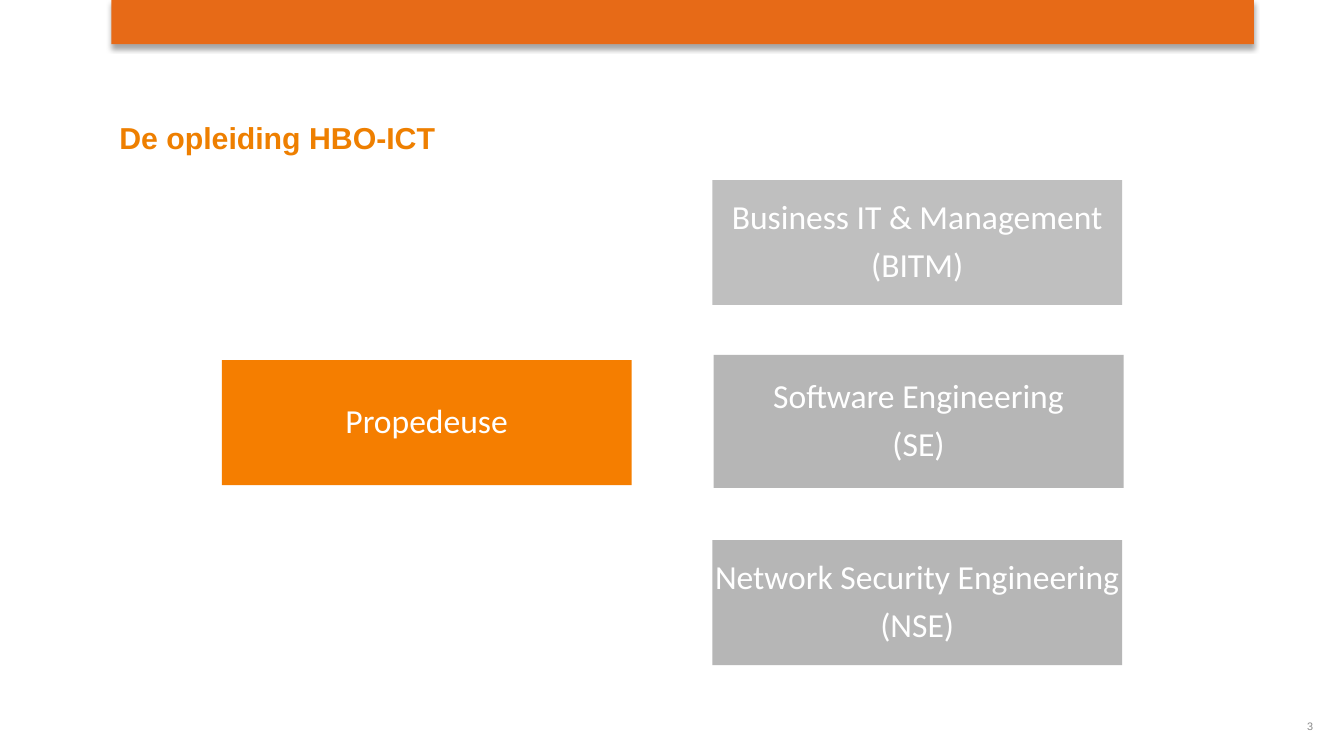
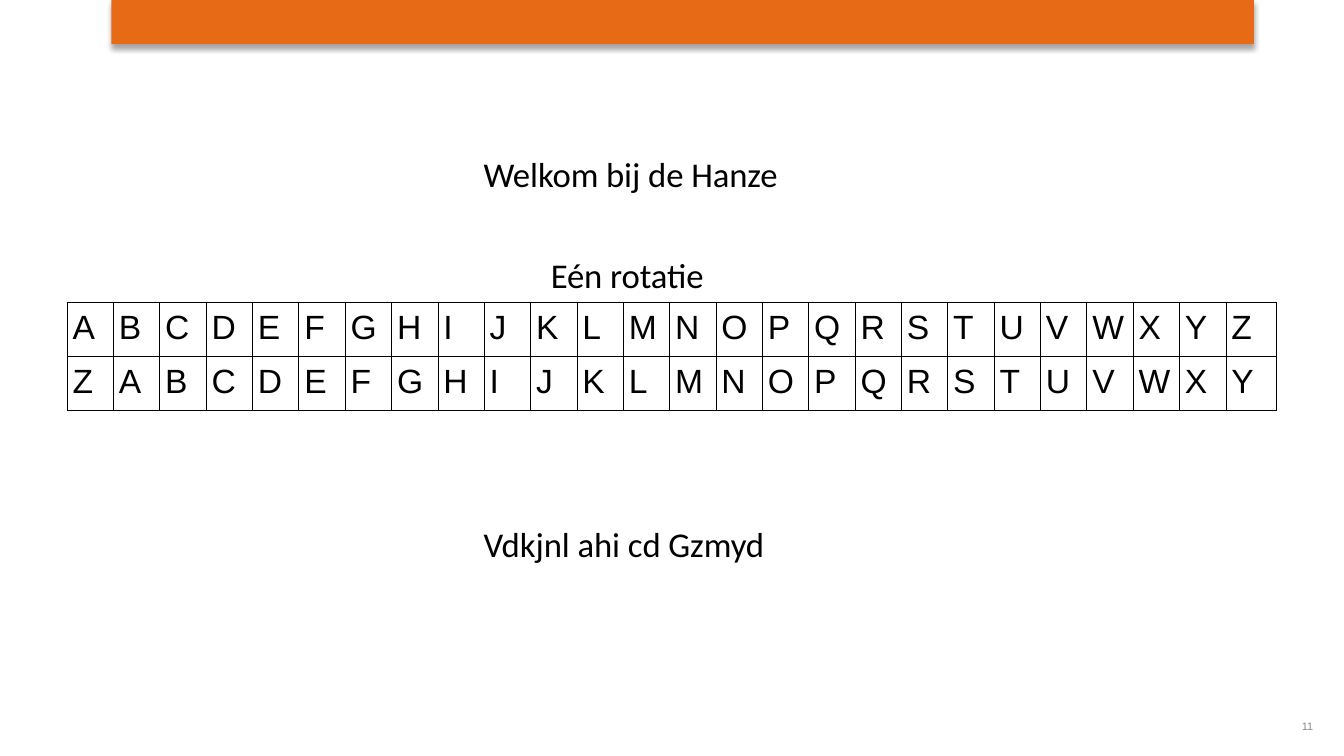
from lxml import etree
from pptx import Presentation
from pptx.dml.color import RGBColor
from pptx.enum import shapes, text
from pptx.oxml import ns
from pptx.util import Pt

PX = 914400 // 200
SLIDE_WIDTH, SLIDE_HEIGHT = 2000, 1125

BAND = RGBColor(0xE7, 0x6A, 0x17)
TITLE = RGBColor(0xEE, 0x7F, 0x00)
ORANGE = RGBColor(0xF5, 0x7E, 0x00)
LIGHT_GREY = RGBColor(0xBF, 0xBF, 0xBF)
GREY = RGBColor(0xB6, 0xB6, 0xB6)
NUMBER_GREY = RGBColor(0x89, 0x89, 0x89)
WHITE = RGBColor(0xFF, 0xFF, 0xFF)
BLACK = RGBColor(0x00, 0x00, 0x00)

ALPHABET = "ABCDEFGHIJKLMNOPQRSTUVWXYZ"


def px(*lengths):
    return [length * PX for length in lengths]


def add_child(parent, tag, **attributes):
    return etree.SubElement(parent, ns.qn(tag), attributes)


def add_run(paragraph, words, size, font, color, bold=False, lowered=False):
    run = paragraph.add_run()
    run.text = words
    run.font.size = Pt(size)
    run.font.name = font
    run.font.bold = bold
    run.font.color.rgb = color
    if lowered:
        run._r.get_or_add_rPr().set("baseline", "-25000")


def set_margins(frame, left, top):
    frame.margin_left = frame.margin_right = left * PX
    frame.margin_top = frame.margin_bottom = top * PX


def add_rectangle(slide, box, color):
    shape = slide.shapes.add_shape(shapes.MSO_SHAPE.RECTANGLE, *px(*box))
    shape.shadow.inherit = False
    shape.fill.solid()
    shape.fill.fore_color.rgb = color
    shape.line.fill.background()
    return shape


def add_text_box(slide, box, margins, wrap=True):
    frame = slide.shapes.add_textbox(*px(*box)).text_frame
    frame.word_wrap = wrap
    set_margins(frame, *margins)
    return frame


def add_band(slide, box):
    band = add_rectangle(slide, box, BAND)
    effects = band._element.spPr.find(ns.qn("a:effectLst"))
    shadow = add_child(effects, "a:outerShdw", blurRad="39370", dist="22860",
                       dir="5400000", rotWithShape="0")
    color = add_child(shadow, "a:srgbClr", val="000000")
    add_child(color, "a:alpha", val="35000")


def add_slide_number(slide, box, number):
    frame = add_text_box(slide, box, (0, 0))
    frame.vertical_anchor = text.MSO_ANCHOR.MIDDLE
    paragraph = frame.paragraphs[0]
    paragraph.alignment = text.PP_ALIGN.RIGHT
    add_run(paragraph, str(number), 10, "Arial", NUMBER_GREY, lowered=True)


def add_base_slide(presentation, number):
    slide = presentation.slides.add_slide(presentation.slide_layouts[6])
    add_band(slide, (166, 0, 1700, 66))
    add_slide_number(slide, (1882, 1042, 72, 60), number)
    return slide


def add_title(slide, box, words):
    frame = add_text_box(slide, box, (20, 10))
    frame.auto_size = text.MSO_AUTO_SIZE.SHAPE_TO_FIT_TEXT
    add_run(frame.paragraphs[0], words, 28, "Arial", TITLE, bold=True, lowered=True)


def add_programme(slide, box, color, lines):
    frame = add_rectangle(slide, box, color).text_frame
    frame.word_wrap = True
    frame.vertical_anchor = text.MSO_ANCHOR.MIDDLE
    set_margins(frame, 2, 2)
    for index, line in enumerate(lines):
        paragraph = frame.add_paragraph() if index else frame.paragraphs[0]
        paragraph.alignment = text.PP_ALIGN.CENTER
        paragraph.line_spacing = 0.9
        space_after = add_child(paragraph._p.get_or_add_pPr(), "a:spcAft")
        add_child(space_after, "a:spcPct", val="35000")
        add_run(paragraph, line, 18, "Calibri", WHITE)


def add_caption(slide, box, words):
    frame = add_text_box(slide, box, (20, 10), wrap=False)
    frame.auto_size = text.MSO_AUTO_SIZE.SHAPE_TO_FIT_TEXT
    paragraph = frame.paragraphs[0]
    paragraph.line_spacing = 1.07
    paragraph.space_after = Pt(8)
    add_run(paragraph, words, 32, "Calibri", BLACK, lowered=True)


def add_cell_borders(cell):
    properties = cell._tc.get_or_add_tcPr()
    for side in "LRTB":
        line = add_child(properties, f"a:ln{side}", w=str(Pt(0.57)))
        add_child(add_child(line, "a:solidFill"), "a:srgbClr", val=str(BLACK))


def add_cipher_table(slide, box, rows):
    left, top, width, height = box
    count = len(rows[0])
    column_width = width // count
    table = slide.shapes.add_table(len(rows), count, *px(*box)).table
    table.first_row = table.horz_banding = False
    for column in table.columns:
        column.width = column_width * PX
    table.columns[count - 1].width = (width - column_width * (count - 1)) * PX
    for row, letters in zip(table.rows, rows):
        row.height = height // len(rows) * PX
        for cell, letter in zip(row.cells, letters):
            set_margins(cell, 8, 10)
            add_cell_borders(cell)
            cell.fill.background()
            add_run(cell.text_frame.paragraphs[0], letter, 18, "Arial", BLACK)


def build_programme_slide(presentation):
    slide = add_base_slide(presentation, 3)
    add_title(slide, (158, 116, 1386, 114), "De opleiding HBO-ICT")
    programmes = [
        ((330, 536, 610, 186), ORANGE, ["Propedeuse"]),
        ((1060, 268, 610, 186), LIGHT_GREY, ["Business IT & Management", "(BITM)"]),
        ((1062, 528, 610, 198), GREY, ["Software Engineering", "(SE)"]),
        ((1060, 804, 610, 186), GREY, ["Network Security Engineering", "(NSE)"]),
    ]
    for box, color, lines in programmes:
        add_programme(slide, box, color, lines)


def build_cipher_slide(presentation):
    slide = add_base_slide(presentation, 11)
    add_caption(slide, (700, 150, 546, 150), "Welkom bij de Hanze")
    rotated = ALPHABET[-1] + ALPHABET[:-1]
    add_cipher_table(slide, (100, 450, 1800, 160), [ALPHABET, rotated])
    add_caption(slide, (700, 700, 524, 150), "Vdkjnl ahi cd Gzmyd")
    add_caption(slide, (800, 300, 302, 150), "Eén rotatie")


def main():
    presentation = Presentation()
    presentation.slide_width, presentation.slide_height = px(SLIDE_WIDTH, SLIDE_HEIGHT)
    build_programme_slide(presentation)
    build_cipher_slide(presentation)
    presentation.save("out.pptx")


if __name__ == "__main__":
    main()
